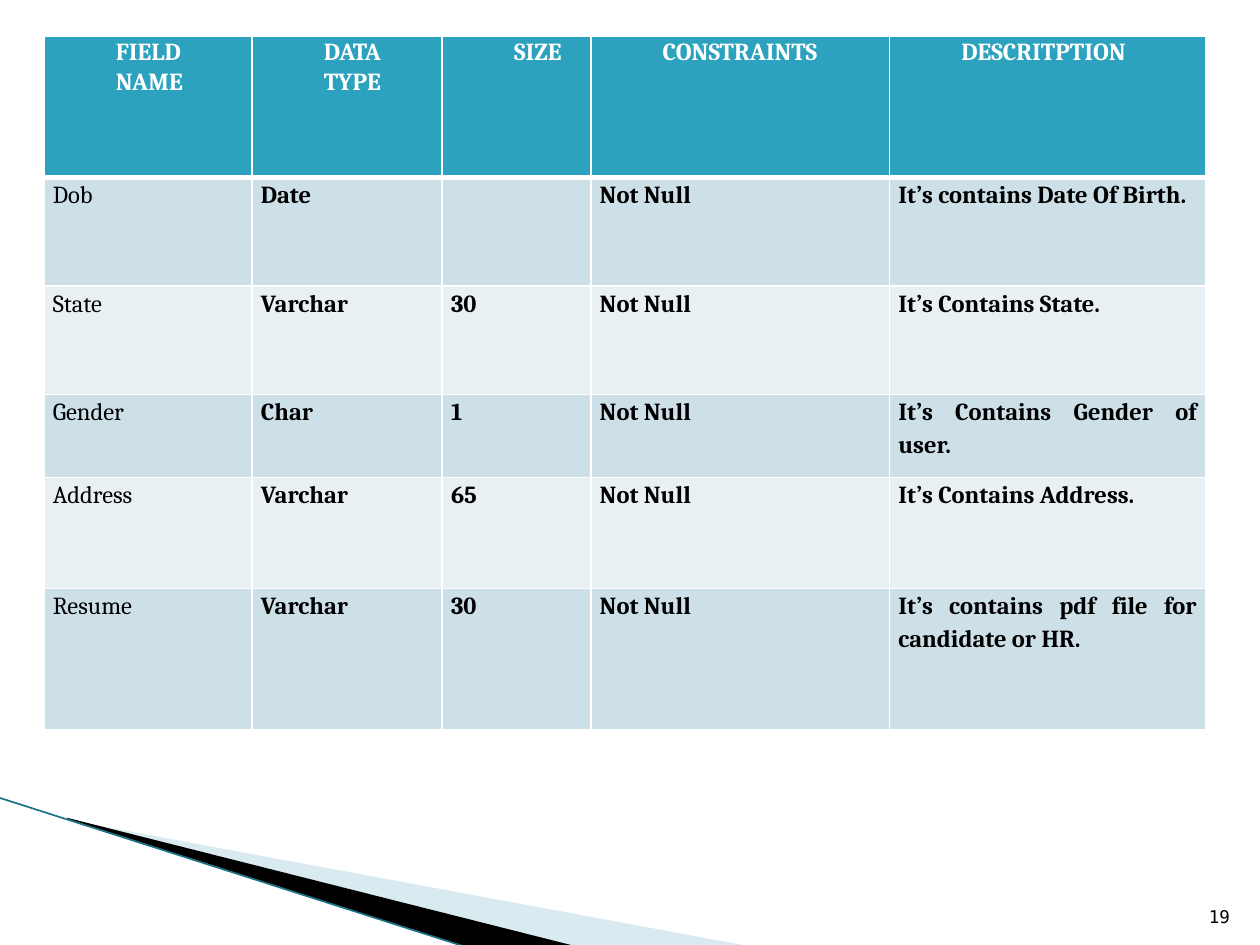
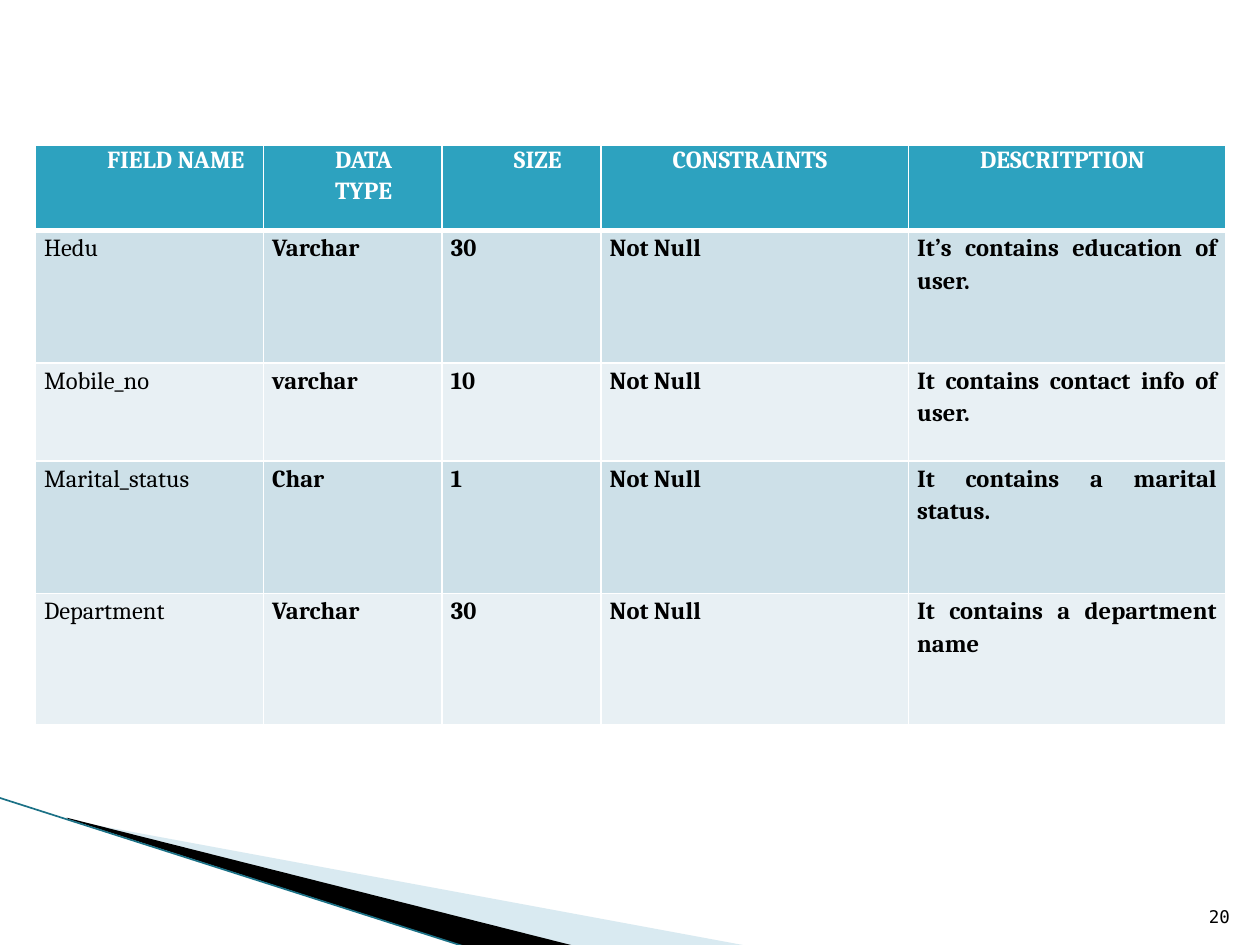
from dataclasses import dataclass

from lxml.etree import SubElement
from pptx import Presentation
from pptx.dml.color import RGBColor
from pptx.enum.shapes import MSO_CONNECTOR
from pptx.enum.text import MSO_ANCHOR, PP_ALIGN
from pptx.oxml.ns import qn
from pptx.util import Inches, Pt


@dataclass(frozen=True)
class Theme:
    header: str = "2DA2BF"
    bands: tuple = ("CDE0E8", "E8F0F4")
    white: str = "FFFFFF"
    black: str = "000000"
    pale_wedge: str = "A0CBDC"
    edge: str = "1B7186"
    font: str = "Cambria"
    number_font: str = "DejaVu Sans Mono"
    text_size: int = 14
    number_size: int = 10
    thin: int = 1
    thick: int = 3


THEME = Theme()
HEADINGS = ["FIELD NAME", "DATA TYPE", "SIZE", "CONSTRAINTS", "DESCRITPTION"]

PERSONAL_FIELDS = [
    ("Dob", "Date", "", "Not Null", "It’s contains Date Of Birth."),
    ("State", "Varchar", "30", "Not Null", "It’s Contains State."),
    ("Gender", "Char", "1", "Not Null", "It’s Contains Gender of user."),
    ("Address", "Varchar", "65", "Not Null", "It’s Contains Address."),
    ("Resume", "Varchar", "30", "Not Null", "It’s contains pdf file for candidate or HR."),
]
PROFILE_FIELDS = [
    ("Hedu", "Varchar", "30", "Not Null", "It’s contains education of user."),
    ("Mobile_no", "varchar", "10", "Not Null", "It contains contact info of user."),
    ("Marital_status", "Char", "1", "Not Null", "It contains a marital status."),
    ("Department", "Varchar", "30", "Not Null", "It contains a department name"),
]


def rgb(value):
    return RGBColor.from_string(value)


def write(tf, text, font=THEME.font, size=THEME.text_size, color=THEME.black,
          bold=False, align=PP_ALIGN.LEFT, spacing=1.0, after=0, indent=0):
    tf.word_wrap = True
    p = tf.paragraphs[0]
    if indent:
        pPr = p._p.get_or_add_pPr()
        pPr.set("marL", str(Inches(indent)))
        pPr.set("indent", "0")
    p.alignment, p.line_spacing, p.space_after = align, spacing, Pt(after)
    r = p.add_run()
    r.text = text
    r.font.name, r.font.size, r.font.bold = font, Pt(size), bold
    r.font.color.rgb = rgb(color)


def add_wedge(s, points, color, opacity=None):
    (x, y), *rest = [(Inches(px), Inches(py)) for px, py in points]
    builder = s.shapes.build_freeform(x, y)
    builder.add_line_segments(rest, close=True)
    sp = builder.convert_to_shape()
    sp.shadow.inherit = False
    sp.fill.solid()
    sp.fill.fore_color.rgb = rgb(color)
    sp.line.fill.background()
    if opacity:
        clr = sp.element.spPr.find(qn("a:solidFill"))[0]
        SubElement(clr, qn("a:alpha"), val=str(opacity * 1000))
    return sp


def add_edge(s, start, end):
    line = s.shapes.add_connector(
        MSO_CONNECTOR.STRAIGHT, *[Inches(v) for v in (*start, *end)])
    line.line.color.rgb = rgb(THEME.edge)
    line.line.width = Pt(0.95)
    SubElement(line.element.spPr, qn("a:effectLst"))
    return line


def decorate_layout(layout, s):
    """Draw the corner wedges on a slide, then move them to its layout."""
    for ph in list(layout.placeholders):
        layout.shapes.element.remove(ph.element)
    parts = [
        add_wedge(s, [(0.55, 6.51), (5.95, 7.51), (4.56, 7.51), (0.55, 6.5)],
                  THEME.pale_wedge, opacity=40),
        add_wedge(s, [(0.53, 6.49), (4.57, 7.51), (3.72, 7.52), (0.54, 6.5)],
                  THEME.black),
        add_edge(s, (-0.01, 6.33), (3.71, 7.52)),
    ]
    for part in parts:
        layout.shapes.element.append(part.element)


def set_borders(cell, top, bottom):
    tcPr = cell._tc.get_or_add_tcPr()
    widths = {"L": THEME.thin, "R": THEME.thin, "T": top, "B": bottom}
    for side, width in widths.items():
        ln = SubElement(tcPr, qn(f"a:ln{side}"), w=str(Pt(width)))
        SubElement(SubElement(ln, qn("a:solidFill")), qn("a:srgbClr"), val=THEME.white)


def format_cell(cell, row, fill):
    cell.margin_left = cell.margin_right = Inches(0.07)
    cell.margin_top = cell.margin_bottom = 0
    set_borders(cell, top=THEME.thick if row == 1 else THEME.thin,
                bottom=THEME.thick if row == 0 else THEME.thin)
    cell.fill.solid()
    cell.fill.fore_color.rgb = rgb(fill)


def add_field_table(s, left, top, widths, heights, fields):
    rows = [HEADINGS, *fields]
    box = [Inches(v) for v in (left, top, sum(widths), sum(heights))]
    table = s.shapes.add_table(len(rows), len(HEADINGS), *box).table
    for column, width in zip(table.columns, widths):
        column.width = Inches(width)
    for i, (values, height) in enumerate(zip(rows, heights)):
        table.rows[i].height = Inches(height)
        for j, text in enumerate(values):
            cell = table.cell(i, j)
            format_cell(cell, i, THEME.bands[(i - 1) % 2] if i else THEME.header)
            if not text:
                continue
            if i == 0:
                write(cell.text_frame, text, color=THEME.white, bold=True,
                      spacing=1.07, after=8 if j > 1 else 0, indent=0.5)
            else:
                write(cell.text_frame, text, bold=j > 0, align=PP_ALIGN.JUSTIFY,
                      spacing=1.15, after=10)


def add_page_number(s, number):
    box = s.shapes.add_textbox(Inches(9.46), Inches(7.01), Inches(0.4), Inches(0.4))
    tf = box.text_frame
    tf.vertical_anchor = MSO_ANCHOR.BOTTOM
    write(tf, str(number), font=THEME.number_font, size=THEME.number_size,
          align=PP_ALIGN.RIGHT)


def main():
    prs = Presentation()
    prs.slide_width, prs.slide_height = Inches(10), Inches(7.5)
    layout = prs.slide_layouts[6]
    personal, profile = [prs.slides.add_slide(layout) for _ in range(2)]
    decorate_layout(layout, personal)

    add_field_table(personal, 0.35, 0.29, [1.65, 1.51, 1.18, 2.37, 2.51],
                    [1.12, 0.86, 0.86, 0.66, 0.88, 1.12], PERSONAL_FIELDS)
    add_field_table(profile, 0.28, 1.15, [1.81, 1.42, 1.26, 2.44, 2.52],
                    [0.68, 1.05, 0.78, 1.05, 1.04], PROFILE_FIELDS)
    for number, s in enumerate((personal, profile), start=19):
        add_page_number(s, number)
    prs.save("out.pptx")


if __name__ == "__main__":
    main()
